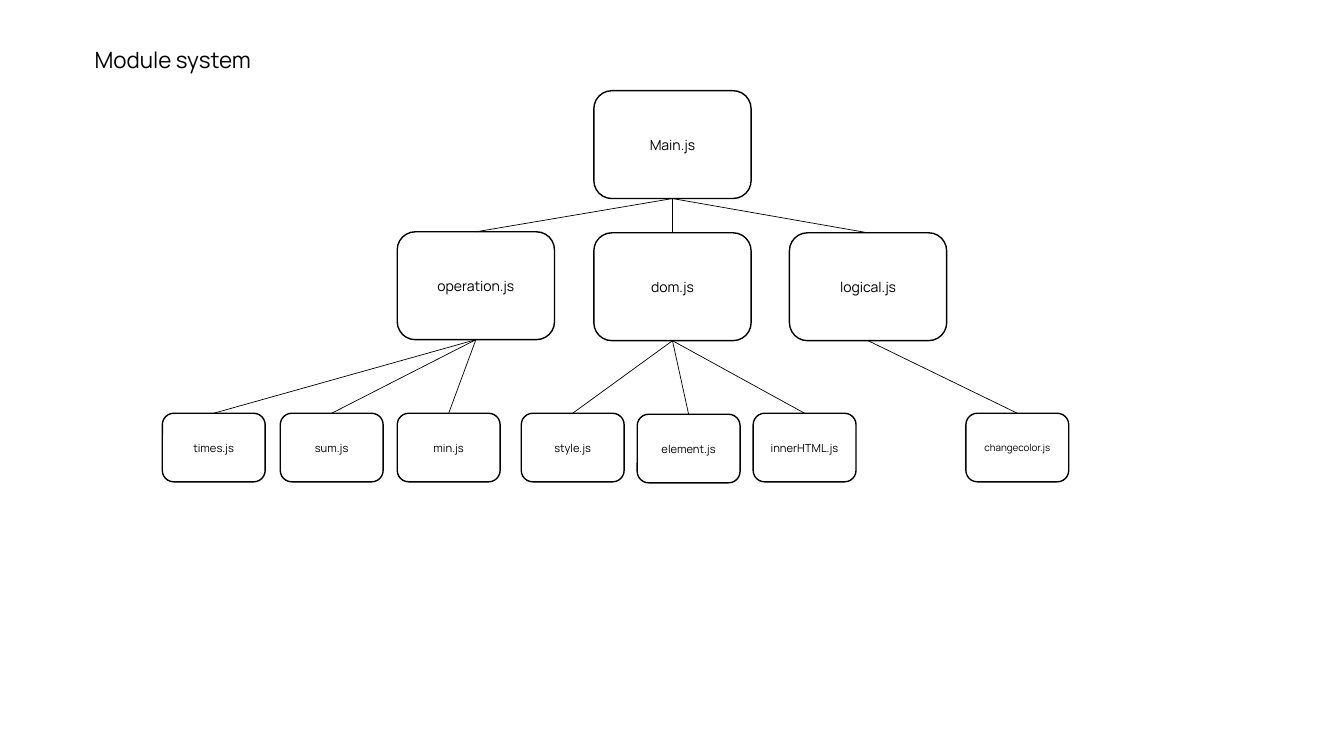
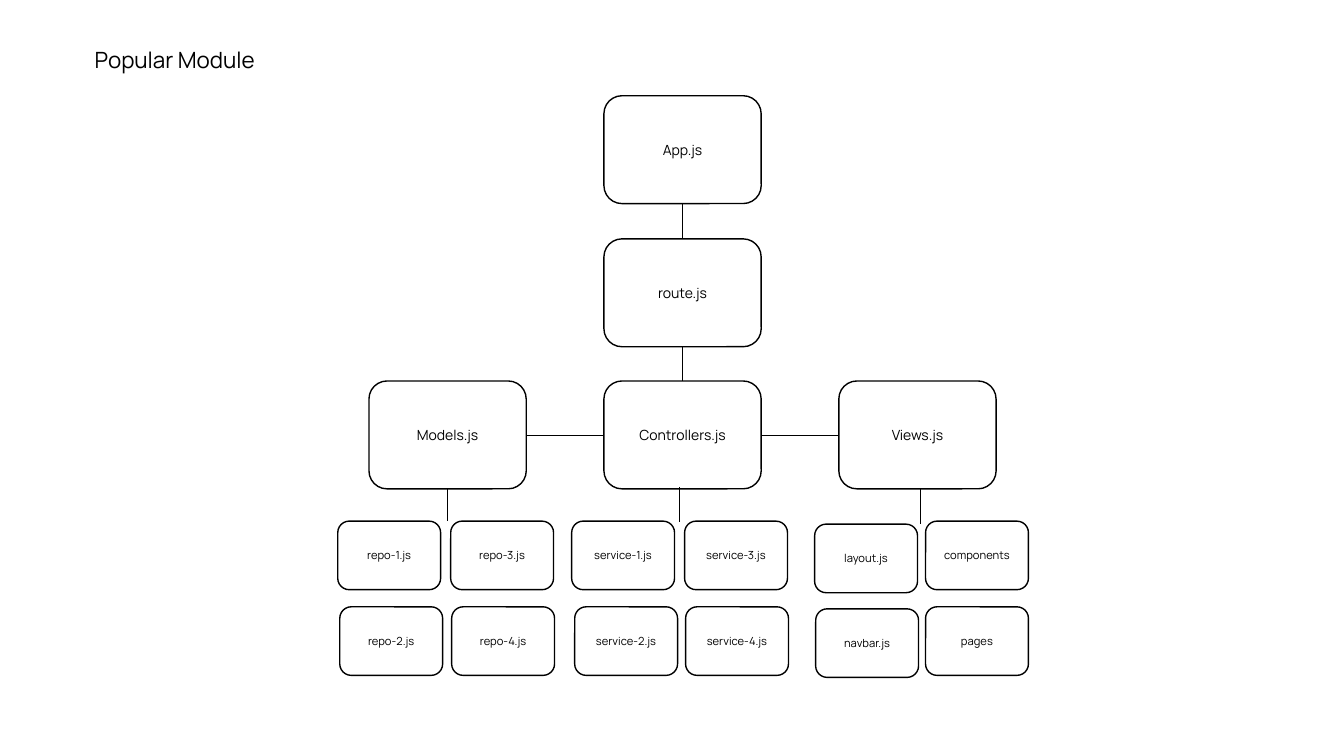
from lxml import etree
from pptx import Presentation
from pptx.dml.color import RGBColor
from pptx.enum.shapes import MSO_CONNECTOR, MSO_SHAPE
from pptx.enum.text import MSO_ANCHOR, MSO_AUTO_SIZE, PP_ALIGN
from pptx.oxml.ns import qn
from pptx.util import Inches, Pt

COLORS = {"ink": "000000", "paper": "FFFFFF"}
INK = RGBColor.from_string(COLORS["ink"])
PAPER = RGBColor.from_string(COLORS["paper"])
FONT = "Manrope"
LARGE = (1.56, 1.07, 10)  # width, height, text size
SMALL = (1.02, 0.68, 8)
TINY_TEXT = (1.02, 0.68, 7)
TOP, LEFT, BOTTOM, RIGHT = range(4)  # connection sites of a rounded rectangle


def add_box(s, text, left, top, style):
    width, height, size = style
    sp = s.shapes.add_shape(MSO_SHAPE.ROUNDED_RECTANGLE, Inches(left), Inches(top),
                            Inches(width), Inches(height))
    sp.shadow.inherit = False
    sp.fill.solid()
    sp.fill.fore_color.rgb = PAPER
    sp.line.color.rgb = INK
    sp.line.width = Pt(1)
    tf = sp.text_frame
    tf.vertical_anchor = MSO_ANCHOR.MIDDLE
    p = tf.paragraphs[0]
    p.text = text
    p.alignment = PP_ALIGN.CENTER
    p.font.name, p.font.size, p.font.color.rgb = FONT, Pt(size), INK
    return sp


def add_line(s, start=(0, 0), end=(0, 0)):
    """Draw a thin line; the default ends are for lines then glued to boxes."""
    line = s.shapes.add_connector(MSO_CONNECTOR.STRAIGHT,
                                  *(Inches(v) for v in (*start, *end)))
    line.line.color.rgb = INK
    line.line.width = Pt(0.5)
    etree.SubElement(line._element.spPr, qn("a:effectLst"))
    return line


prs = Presentation()
prs.slide_width, prs.slide_height = Inches(13.33), Inches(7.5)

slides = []
for title, width in (("Module system", 1.9), ("Popular Module", 1.95)):
    s = prs.slides.add_slide(prs.slide_layouts[6])
    tb = s.shapes.add_textbox(Inches(0.84), Inches(0.41), Inches(width), Inches(0.37))
    tf = tb.text_frame
    tf.word_wrap = False
    tf.auto_size = MSO_AUTO_SIZE.SHAPE_TO_FIT_TEXT
    p = tf.paragraphs[0]
    p.text = title
    p.font.name, p.font.size, p.font.color.rgb = FONT, Pt(16), INK
    slides.append(s)
module_slide, popular_slide = slides

links = []  # slide, box, site, box, site

# Module system: a tree of three levels
main = add_box(module_slide, "Main.js", 5.89, 0.9, LARGE)
branches = [
    ("operation.js", 3.94, 2.3, [("times.js", 1.61, 4.1, SMALL),
                                 ("sum.js", 2.78, 4.1, SMALL),
                                 ("min.js", 3.94, 4.1, SMALL)]),
    ("dom.js", 5.89, 2.31, [("style.js", 5.17, 4.1, SMALL),
                            ("element.js", 6.32, 4.11, SMALL),
                            ("innerHTML.js", 7.47, 4.1, SMALL)]),
    ("logical.js", 7.83, 2.31, [("changecolor.js", 9.58, 4.1, TINY_TEXT)]),
]
for name, left, top, leaves in branches:
    branch = add_box(module_slide, name, left, top, LARGE)
    links.append((module_slide, main, BOTTOM, branch, TOP))
    for leaf in leaves:
        links.append((module_slide, branch, BOTTOM, add_box(module_slide, *leaf), TOP))

# Popular Module: a trunk, then three groups of four files
app = add_box(popular_slide, "App.js", 5.99, 0.95, LARGE)
route = add_box(popular_slide, "route.js", 5.99, 2.37, LARGE)
groups = [
    ("Models.js", 3.66, (4.44, 4.85, 5.17),
     [("repo-1.js", 3.35, 5.17), ("repo-3.js", 4.47, 5.17),
      ("repo-2.js", 3.37, 6.02), ("repo-4.js", 4.48, 6.02)]),
    ("Controllers.js", 5.99, (6.74, 4.83, 5.18),
     [("service-1.js", 5.67, 5.17), ("service-3.js", 6.79, 5.17),
      ("service-2.js", 5.7, 6.02), ("service-4.js", 6.8, 6.02)]),
    ("Views.js", 8.32, (9.13, 4.85, 5.2),
     [("layout.js", 8.08, 5.2), ("components", 9.18, 5.17),
      ("navbar.js", 8.09, 6.04), ("pages", 9.18, 6.02)]),
]
heads = []
for name, left, (stem_x, stem_top, stem_bottom), files in groups:
    heads.append(add_box(popular_slide, name, left, 3.78, LARGE))
    for file in files:
        add_box(popular_slide, *file, SMALL)
    add_line(popular_slide, (stem_x, stem_top), (stem_x, stem_bottom))
models, controllers, views = heads
links += [
    (popular_slide, app, BOTTOM, route, TOP),
    (popular_slide, route, BOTTOM, controllers, TOP),
    (popular_slide, models, RIGHT, controllers, LEFT),
    (popular_slide, controllers, RIGHT, views, LEFT),
]

for s, parent, parent_site, child, child_site in links:
    line = add_line(s)
    line.begin_connect(parent, parent_site)
    line.end_connect(child, child_site)

prs.save("out.pptx")
